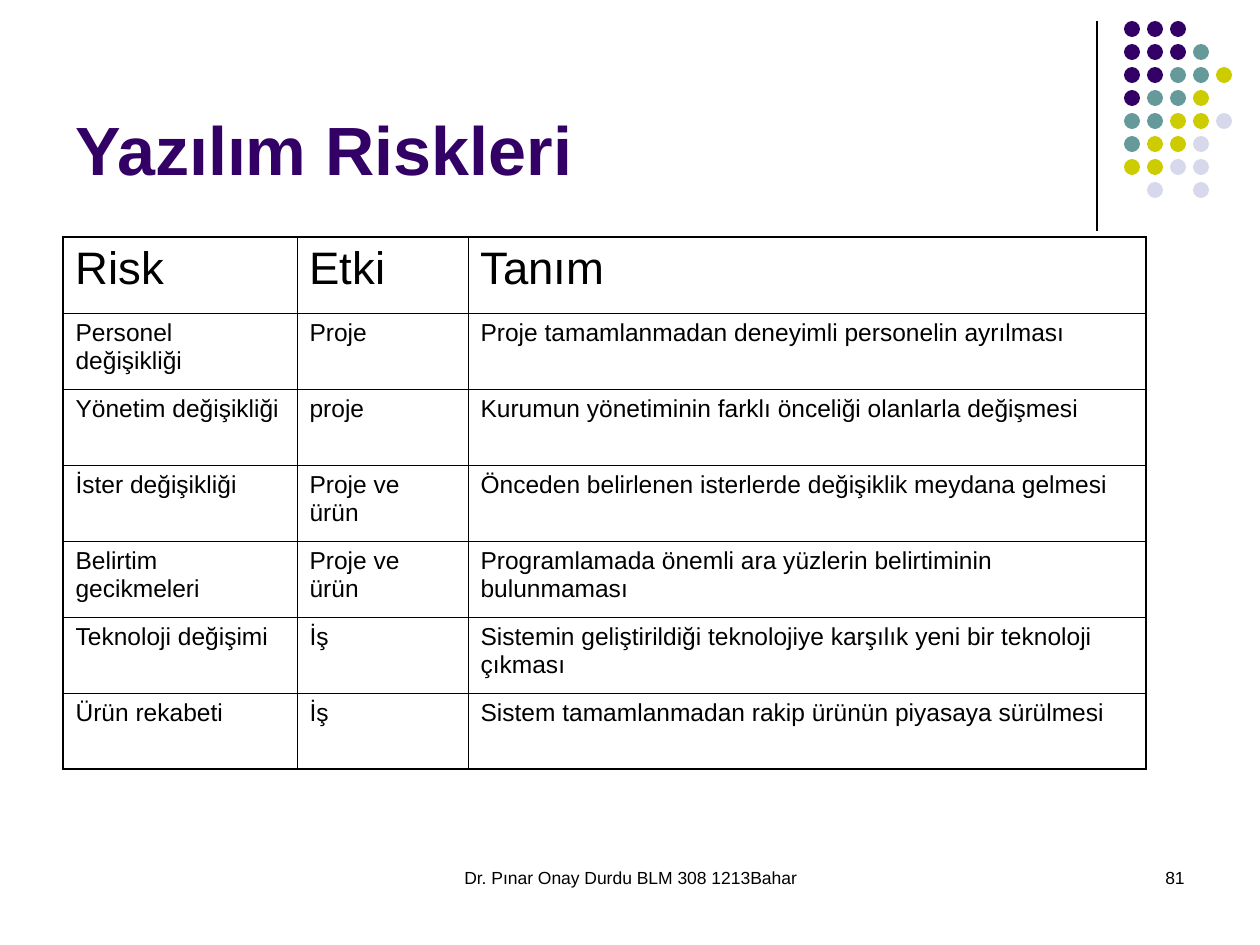
"""Build the software risks slide with its table and dot ornament."""
from typing import NamedTuple

from lxml import etree
from pptx import Presentation
from pptx.dml.color import RGBColor
from pptx.enum.shapes import MSO_CONNECTOR, MSO_SHAPE
from pptx.enum.text import MSO_ANCHOR, PP_ALIGN
from pptx.oxml.ns import qn
from pptx.util import Emu, Pt

STRAIGHT = MSO_CONNECTOR.STRAIGHT
OVAL = MSO_SHAPE.OVAL
TOP, BOTTOM = MSO_ANCHOR.TOP, MSO_ANCHOR.BOTTOM
LEFT, CENTER, RIGHT = PP_ALIGN.LEFT, PP_ALIGN.CENTER, PP_ALIGN.RIGHT

PX_PER_INCH = 126
FONT = "Arial"
BLACK, PURPLE = "000000", "330066"
DOT_COLOURS = {"P": PURPLE, "T": "669999", "Y": "CCCC00", "L": "D8D8EC"}
DOT_ROWS = ["PPP", "PPPT", "PPTTY", "PTTY", "TTYYL", "TYYL", "YYLL", " L L"]
DOT_LEFT, DOT_TOP, DOT_SIZE, DOT_STEP = 1124, 21, 16, 23
COLUMN_WIDTHS = [234, 171, 678]
ROW_HEIGHT = 76
OUTER_BORDER, INNER_BORDER = 1.08, 0.45


class Label(NamedTuple):
    """A line of text in its own box, measured in px."""

    text: str
    left: int
    top: int
    width: int
    height: int
    size: int
    colour: str = BLACK
    bold: bool = False
    align: PP_ALIGN = LEFT
    anchor: MSO_ANCHOR = TOP


class Risk(NamedTuple):
    """A row of the risk table."""

    name: str
    effect: str
    description: str


LABELS = [
    Label("Dr. Pınar Onay Durdu BLM 308 1213Bahar", 431, 861, 399, 63, 10, align=CENTER),
    Label("81", 903, 861, 294, 63, 10, align=RIGHT),
    Label("Yazılım Riskleri", 63, 16, 1040, 179, 39, PURPLE, True, anchor=BOTTOM),
]
RISKS = [
    Risk("Risk", "Etki", "Tanım"),
    Risk("Personel değişikliği", "Proje", "Proje tamamlanmadan deneyimli personelin ayrılması"),
    Risk("Yönetim değişikliği", "proje", "Kurumun yönetiminin farklı önceliği olanlarla değişmesi"),
    Risk("İster değişikliği", "Proje ve ürün", "Önceden belirlenen isterlerde değişiklik meydana gelmesi"),
    Risk("Belirtim gecikmeleri", "Proje ve ürün", "Programlamada önemli ara yüzlerin belirtiminin bulunmaması"),
    Risk("Teknoloji değişimi", "İş", "Sistemin geliştirildiği teknolojiye karşılık yeni bir teknoloji çıkması"),
    Risk("Ürün rekabeti", "İş", "Sistem tamamlanmadan rakip ürünün piyasaya sürülmesi"),
]


def px(length: int) -> Emu:
    """Turn px into EMU."""
    return Emu(round(length * 914400 / PX_PER_INCH))


def colour_of(value: str) -> RGBColor:
    """Turn a hex string into a colour."""
    return RGBColor.from_string(value)


def style_text(paragraph, size: int, colour: str = BLACK, bold: bool = False) -> None:
    """Format every run of a paragraph."""
    for run in paragraph.runs:
        run.font.name = FONT
        run.font.size = Pt(size)
        run.font.bold = bold
        run.font.color.rgb = colour_of(colour)


def add_label(slide, label: Label) -> None:
    """Add a text box."""
    shape = slide.shapes.add_textbox(*map(px, label[1:5]))
    text_frame = shape.text_frame
    text_frame.word_wrap = True
    text_frame.vertical_anchor = label.anchor
    text_frame.text = label.text
    paragraph = text_frame.paragraphs[0]
    paragraph.alignment = label.align
    style_text(paragraph, label.size, label.colour, label.bold)


def add_divider(slide) -> None:
    """Add the vertical line left of the dots."""
    line = slide.shapes.add_connector(STRAIGHT, px(1097), px(21), px(1097), px(231))
    line.line.color.rgb = colour_of(BLACK)
    line.line.width = Pt(0.75)
    etree.SubElement(line.element.spPr, qn("a:effectLst"))


def add_dots(slide) -> None:
    """Add the grid of coloured dots."""
    for row, codes in enumerate(DOT_ROWS):
        for column, code in enumerate(codes):
            if code not in DOT_COLOURS:
                continue
            left, top = DOT_LEFT + column * DOT_STEP, DOT_TOP + row * DOT_STEP
            dot = slide.shapes.add_shape(OVAL, px(left), px(top), px(DOT_SIZE), px(DOT_SIZE))
            dot.shadow.inherit = False
            dot.fill.solid()
            dot.fill.fore_color.rgb = colour_of(DOT_COLOURS[code])
            dot.line.fill.background()


def set_borders(cell, outer_sides: dict[str, bool]) -> None:
    """Draw the four borders of a cell, thicker on the table's outline."""
    properties = cell._tc.get_or_add_tcPr()
    for index, (side, is_outer) in enumerate(outer_sides.items()):
        border = etree.Element(qn(f"a:ln{side}"))
        border.set("w", str(Pt(OUTER_BORDER if is_outer else INNER_BORDER)))
        fill = etree.SubElement(border, qn("a:solidFill"))
        etree.SubElement(fill, qn("a:srgbClr")).set("val", BLACK)
        properties.insert(index, border)


def add_risk_table(slide) -> None:
    """Add the table of risks."""
    row_count, column_count = len(RISKS), len(COLUMN_WIDTHS)
    frame = slide.shapes.add_table(
        row_count, column_count, px(63), px(237),
        px(sum(COLUMN_WIDTHS)), px(row_count * ROW_HEIGHT),
    )
    table = frame.table
    table.first_row = table.horz_banding = False
    for column, width in zip(table.columns, COLUMN_WIDTHS):
        column.width = px(width)
    for row_index, risk in enumerate(RISKS):
        table.rows[row_index].height = px(ROW_HEIGHT)
        for column_index, text in enumerate(risk):
            cell = table.cell(row_index, column_index)
            cell.fill.background()
            cell.text_frame.text = text
            style_text(cell.text_frame.paragraphs[0], 14 if row_index else 26)
            set_borders(cell, {
                "L": column_index == 0,
                "R": column_index == column_count - 1,
                "T": row_index == 0,
                "B": row_index == row_count - 1,
            })


def main() -> None:
    """Build and save the presentation."""
    presentation = Presentation()
    presentation.slide_width, presentation.slide_height = px(1260), px(945)
    slide = presentation.slides.add_slide(presentation.slide_layouts[6])
    add_divider(slide)
    add_dots(slide)
    for label in LABELS:
        add_label(slide, label)
    add_risk_table(slide)
    presentation.save("out.pptx")


if __name__ == "__main__":
    main()
